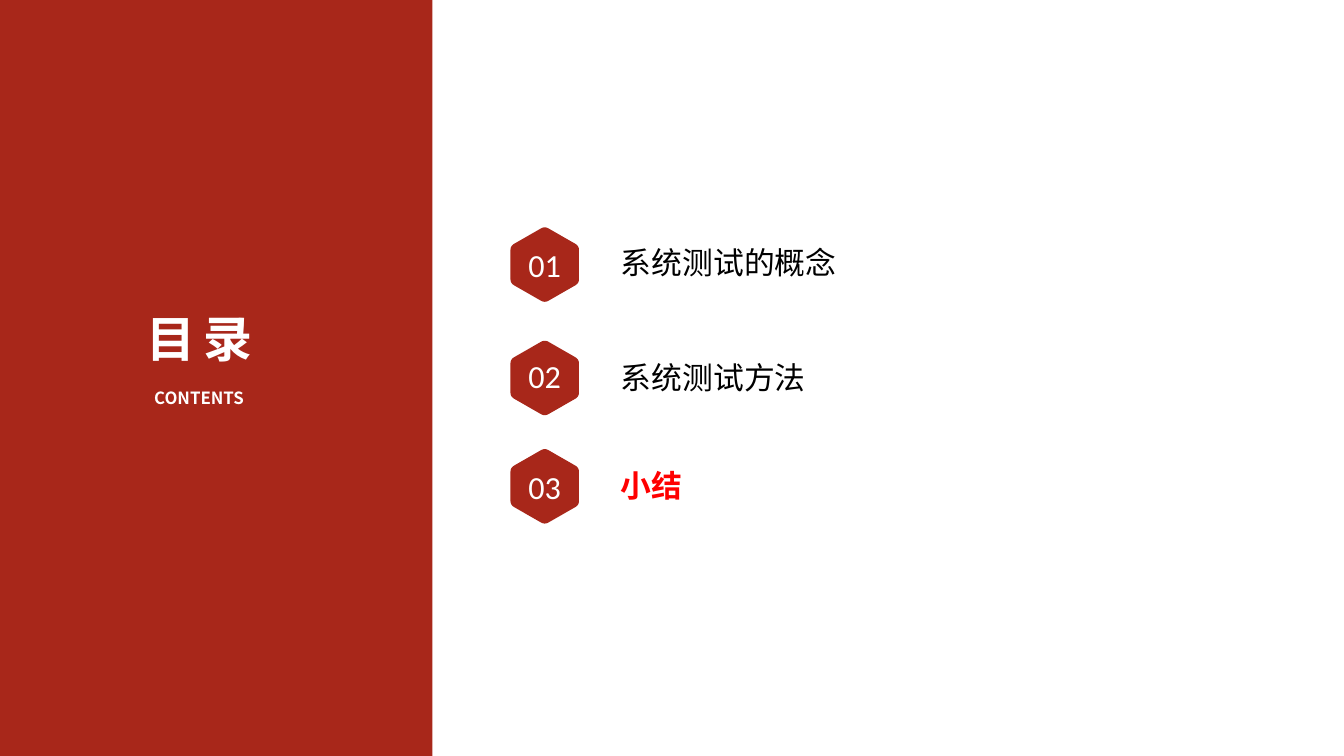
from lxml import etree
from pptx import Presentation
from pptx import util as u
from pptx.dml.color import RGBColor
from pptx.enum import shapes, text
from pptx.oxml.ns import qn

PX = 9144  # EMU per px, 100 px to the inch
COLORS = {"brand": "A8271A", "white": "FFFFFF", "black": "000000", "current": "FF0000"}
CJK = "Noto Sans CJK SC"
HEX_X = 1081
HEX_CORNERS = [(0, -76), (68, -37), (68, 37), (0, 76), (-68, 37), (-68, -37)]
CORNER_CUT = 0.11  # share of each side taken by a rounded corner
NUMBER_TOP, NUMBER_STEP = 473, 220
# label, label top, hexagon centre, colour, bold
ITEMS = [
    ("系统测试的概念", 479, 525, "black", False),
    ("系统测试方法", 706, 750, "black", False),
    ("小结", 922, 965, "current", True),
]


def px(*values):
    return [u.Emu(v * PX) for v in values]


def paint(sp, color):
    sp.shadow.inherit = False
    sp.fill.solid()
    sp.fill.fore_color.rgb = RGBColor.from_string(COLORS[color])
    sp.line.fill.background()


def write(sp, words, size, color, font=CJK, bold=False, align=text.PP_ALIGN.LEFT,
          anchor=text.MSO_ANCHOR.TOP, spacing=0):
    """Fill a text shape; spacing is in hundredths of a point."""
    tf = sp.text_frame
    tf.word_wrap = True
    tf.auto_size = text.MSO_AUTO_SIZE.NONE
    tf.vertical_anchor = anchor
    tf.margin_left = tf.margin_right = tf.margin_top = tf.margin_bottom = u.Emu(5 * PX)
    p = tf.paragraphs[0]
    p.text = words
    p.alignment = align
    p.line_spacing = 1.0
    f = p.font
    f.size, f.bold, f.name = u.Pt(size), bold, font
    f.color.rgb = RGBColor.from_string(COLORS[color])
    props = p._p.pPr.find(qn("a:defRPr"))
    etree.SubElement(props, qn("a:ea")).set("typeface", font)
    if spacing:
        props.set("spc", str(spacing))


def add_text(s, box, words, size, color, **style):
    write(s.shapes.add_textbox(*px(*box)), words, size, color, **style)


def add_title(s):
    title = s.shapes.title
    title.left, title.top, title.width, title.height = px(112, 608, 568, 285)
    write(title, "目录", 70, "white", bold=True, align=text.PP_ALIGN.CENTER, spacing=1170)


def add_panel(s):
    """Draw the side panel behind the title."""
    panel = s.shapes.add_shape(shapes.MSO_SHAPE.RECTANGLE, *px(0, 0, 858, 1500))
    paint(panel, "brand")
    s.shapes._spTree.insert(2, panel._element)


def rounded_outline(corners, cut, steps=6):
    """Return the points of a polygon whose corners are quadratic curves."""
    points = []
    for i, corner in enumerate(corners):
        before, after = corners[i - 1], corners[(i + 1) % len(corners)]
        start, end = ([c + cut * (n - c) for c, n in zip(corner, near)]
                      for near in (before, after))
        for k in range(steps + 1):
            t = k / steps
            points.append([(1 - t) ** 2 * a + 2 * t * (1 - t) * c + t * t * b
                           for a, c, b in zip(start, corner, end)])
    return points


def add_hexagon(s, cx, cy):
    points = [(round((cx + x) * PX), round((cy + y) * PX))
              for x, y in rounded_outline(HEX_CORNERS, CORNER_CUT)]
    outline = s.shapes.build_freeform(*points[0])
    outline.add_line_segments(points[1:], close=True)
    paint(outline.convert_to_shape(), "brand")


def main():
    prs = Presentation()
    prs.slide_width, prs.slide_height = px(2667, 1500)
    s = prs.slides.add_slide(prs.slide_layouts[5])
    add_title(s)
    add_panel(s)
    add_text(s, (187, 764, 416, 99), "CONTENTS", 24, "white", bold=True,
             align=text.PP_ALIGN.CENTER)
    for i, (label, top, center, color, bold) in enumerate(ITEMS):
        add_hexagon(s, HEX_X, center)
        add_text(s, (994, NUMBER_TOP + i * NUMBER_STEP, 174, 105), f"{i + 1:02}", 46, "white",
                 font="Calibri", align=text.PP_ALIGN.CENTER, anchor=text.MSO_ANCHOR.MIDDLE)
        add_text(s, (1227, top, 611, 78), label, 44, color, bold=bold)
    prs.save("out.pptx")


if __name__ == "__main__":
    main()
